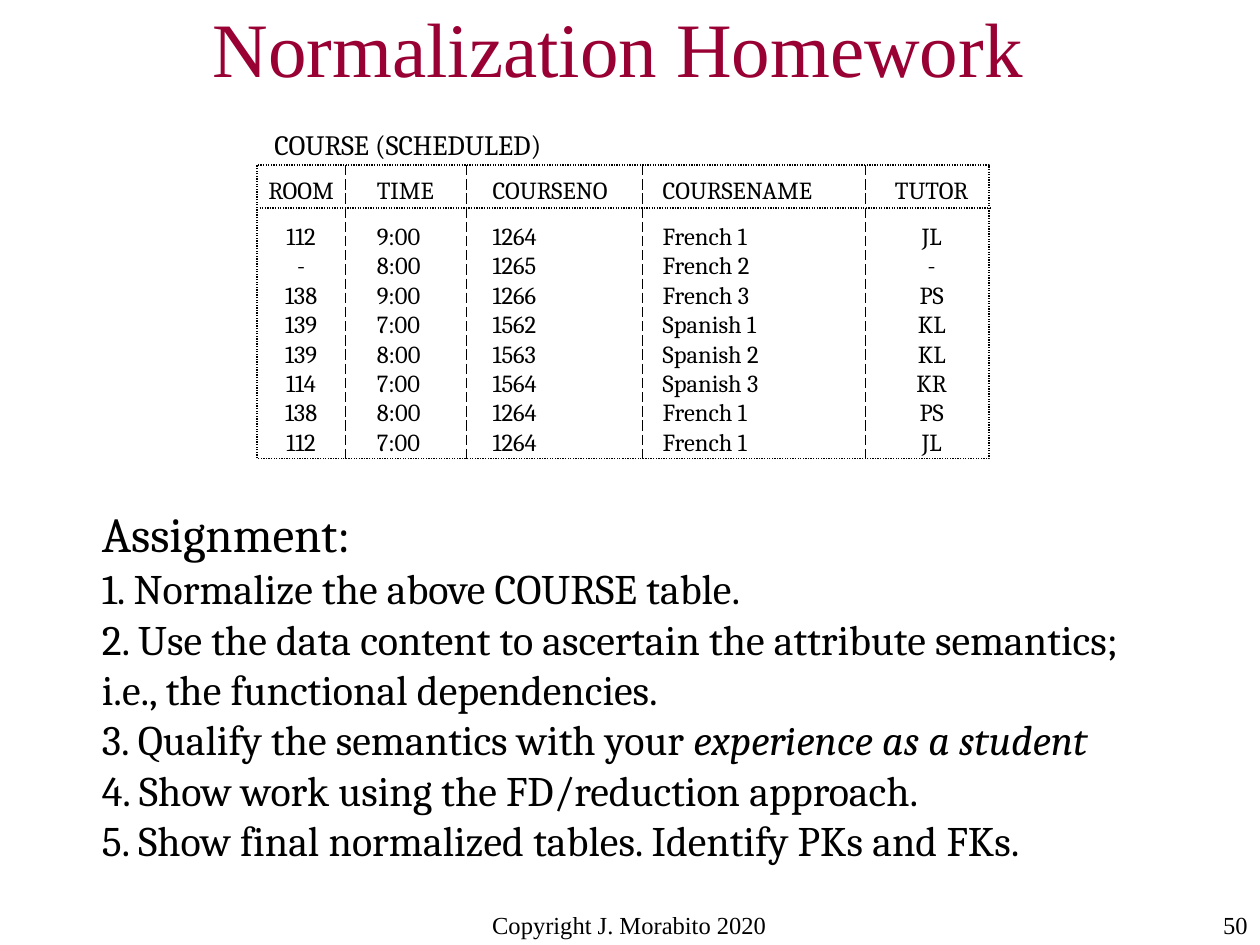
from itertools import accumulate

from lxml import etree
from pptx import Presentation
from pptx.dml.color import RGBColor
from pptx.enum.dml import MSO_LINE
from pptx.enum.shapes import MSO_CONNECTOR, MSO_SHAPE
from pptx.enum.text import MSO_ANCHOR, PP_ALIGN
from pptx.oxml.ns import qn
from pptx.util import Inches, Pt

deck = Presentation()
deck.slide_width, deck.slide_height = Inches(10), Inches(7.5)
page = deck.slides.add_slide(deck.slide_layouts[6])
UNIT = deck.slide_width // 1000  # the page is a grid of 1000 columns by 750 rows

SERIF, BODY = "Times New Roman", "Cambria"
BLACK, CRIMSON = "000000", "990033"
LEFT, CENTER, RIGHT = PP_ALIGN.LEFT, PP_ALIGN.CENTER, PP_ALIGN.RIGHT
DOTTED, DASHED = MSO_LINE.ROUND_DOT, MSO_LINE.LONG_DASH


def add_span(para, text, size, font, color=BLACK, italic=False):
    span = para.add_run()
    span.text = text
    span.font.size = Pt(size)
    span.font.name = font
    span.font.italic = italic
    span.font.color.rgb = RGBColor.from_string(color)


def add_box(left, top, width, height):
    """Add an empty wrapping text box, placed in grid units."""
    box = page.shapes.add_textbox(*(UNIT * n for n in (left, top, width, height)))
    box.text_frame.word_wrap = True
    return box.text_frame


# Footer, slide number, title and table caption
labels = [
    ("Copyright J. Morabito 2020", (341, 717, 317, 25), CENTER, 14, SERIF, BLACK),
    ("50", (858, 717, 142, 33), RIGHT, 14, SERIF, BLACK),
    ("Normalization Homework", (159, 8, 841, 58), LEFT, 44, SERIF, CRIMSON),
    ("COURSE (SCHEDULED)", (208, 96, 252, 37), LEFT, 16, BODY, BLACK),
]
for text, place, align, size, font, color in labels:
    frame = add_box(*place)
    if size == 44:
        frame.vertical_anchor = MSO_ANCHOR.MIDDLE
    frame.paragraphs[0].alignment = align
    add_span(frame.paragraphs[0], text, size, font, color)

# Course table: column width, left margin and alignment, then the rows
columns = [(70, 0, CENTER), (96, 25, LEFT), (140, 21, LEFT), (177, 16, LEFT), (98, 7, CENTER)]
courses = [
    ("ROOM", "TIME", "COURSENO", "COURSENAME", "TUTOR"),
    ("112", "9:00", "1264", "French 1", "JL"),
    ("-", "8:00", "1265", "French 2", "-"),
    ("138", "9:00", "1266", "French 3", "PS"),
    ("139", "7:00", "1562", "Spanish 1", "KL"),
    ("139", "8:00", "1563", "Spanish 2", "KL"),
    ("114", "7:00", "1564", "Spanish 3", "KR"),
    ("138", "8:00", "1264", "French 1", "PS"),
    ("112", "7:00", "1264", "French 1", "JL"),
]
row_heights = [34, 35.5] + [23.4] * 7
top_margins = [9.5, 12] + [0] * 7
table_left, table_top, table_height = 204, 131, 233
widths = [width for width, _, _ in columns]
table_width = sum(widths)

table = page.shapes.add_table(
    len(courses), len(columns), UNIT * table_left, UNIT * table_top,
    UNIT * table_width, UNIT * table_height,
).table
table.first_row = table.horz_banding = False
for column, width in zip(table.columns, widths):
    column.width = UNIT * width

for row, course, height, top in zip(table.rows, courses, row_heights, top_margins):
    row.height = int(UNIT * height)
    for cell, text, (_, margin, align) in zip(row.cells, course, columns):
        cell.margin_left, cell.margin_right = UNIT * margin, 0
        cell.margin_top, cell.margin_bottom = int(UNIT * top), 0
        para = cell.text_frame.paragraphs[0]
        para.alignment = align
        add_span(para, text, 14, BODY)
        for side in ("a:lnL", "a:lnR", "a:lnT", "a:lnB"):
            border = etree.SubElement(cell._tc.get_or_add_tcPr(), qn(side))
            etree.SubElement(border, qn("a:noFill"))
        cell.fill.background()

# Dotted frame and header rule, with unbroken dashes between the columns
outline = page.shapes.add_shape(
    MSO_SHAPE.RECTANGLE, UNIT * table_left, UNIT * table_top,
    UNIT * table_width, UNIT * table_height,
)
outline.shadow.inherit = False
outline.fill.background()
rules = [(outline, DOTTED)]

header_bottom = table_top + row_heights[0]
ends = [(table_left + 2, header_bottom, table_left + table_width + 2, header_bottom, DOTTED)]
for offset in accumulate(widths[:-1]):
    x = table_left + offset
    ends.append((x, table_top, x, table_top + table_height, DASHED))
for *points, dash in ends:
    rule = page.shapes.add_connector(MSO_CONNECTOR.STRAIGHT, *(UNIT * n for n in points))
    etree.SubElement(rule._element.spPr, qn("a:effectLst"))
    rules.append((rule, dash))
for rule, dash in rules:
    rule.line.color.rgb = RGBColor.from_string(BLACK)
    rule.line.width = Pt(0.75)
    rule.line.dash_style = dash

# Assignment: each line is a size and its (text, italic) pieces
assignment = [
    (28, [("Assignment:", False)]),
    (24, [("1. Normalize the above COURSE table.", False)]),
    (24, [("2. Use the data content to ascertain the attribute semantics; "
           "i.e., the functional dependencies.", False)]),
    (24, [("3. Qualify the semantics with your ", False), ("experience as a student", True)]),
    (24, [("4. Show work using the FD/reduction approach.", False)]),
    (24, [("5. Show final normalized tables. Identify PKs and FKs.", False)]),
]
frame = add_box(71, 395, 896, 337)
frame.margin_right = UNIT * 50
for i, (size, pieces) in enumerate(assignment):
    para = frame.add_paragraph() if i else frame.paragraphs[0]
    for text, italic in pieces:
        add_span(para, text, size, BODY, italic=italic)

deck.save("out.pptx")
